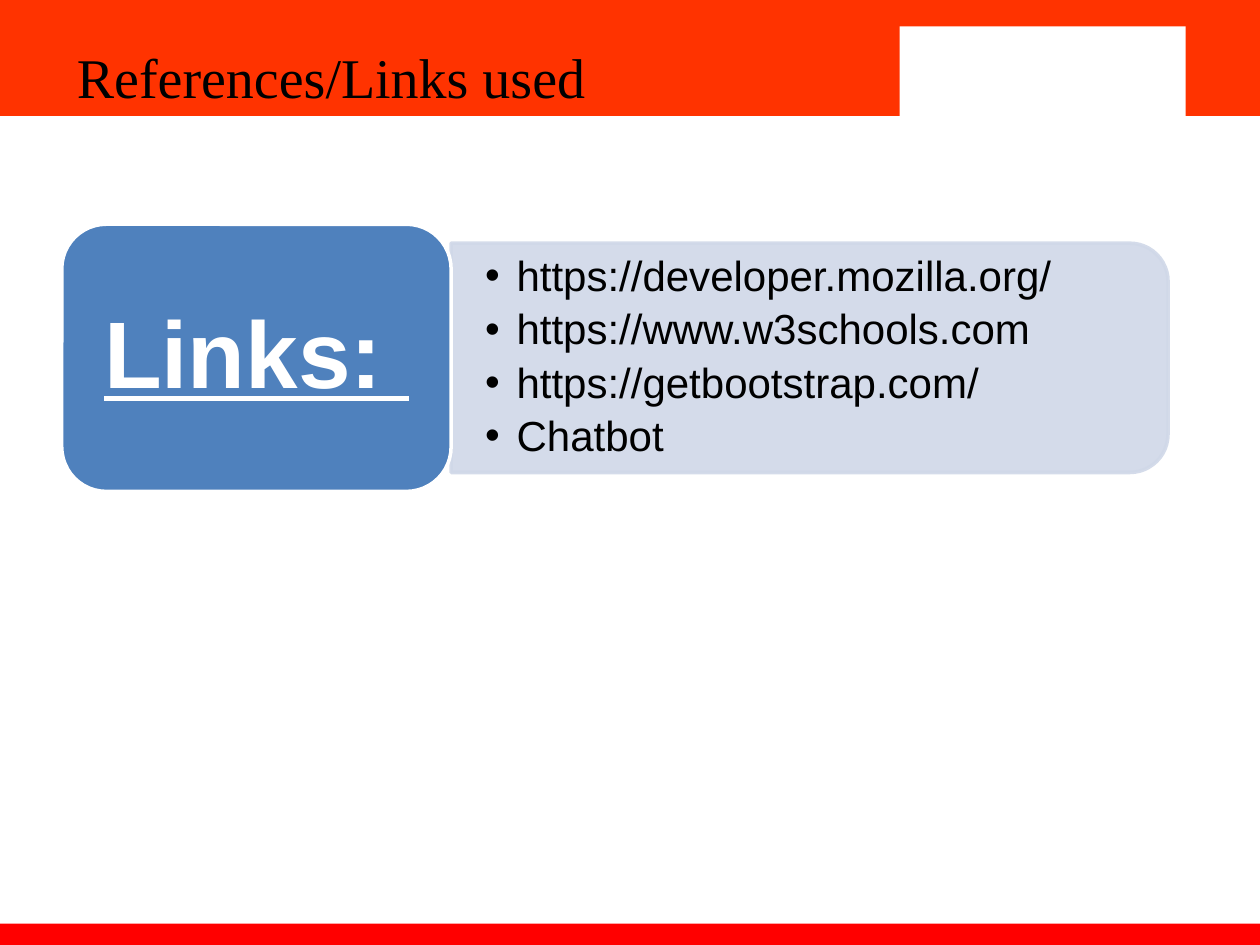
"""Build the references slide: a titled banner and a label beside a panel of links."""
from lxml import etree
from pptx import Presentation, util as u
from pptx.dml.color import RGBColor
from pptx.enum import shapes, text
from pptx.oxml.ns import qn

TITLE = "References/Links used"
LABEL = "Links: "
LINKS = [
    "https://developer.mozilla.org/",
    "https://www.w3schools.com",
    "https://getbootstrap.com/",
    "Chatbot",
]

ORANGE = RGBColor(0xFF, 0x33, 0x00)
RED = RGBColor(0xFF, 0x00, 0x00)
WHITE = RGBColor(0xFF, 0xFF, 0xFF)
BLACK = RGBColor(0x00, 0x00, 0x00)
BLUE = RGBColor(0x4F, 0x81, 0xBD)
PALE = RGBColor(0xD0, 0xD8, 0xE8)

WIDTH, HEIGHT = 10, 7.5
BANNER = 0.92
FOOTER_TOP = 7.33
LEFT, LABEL_WIDTH, LABEL_HEIGHT = 0.49, 3.09, 2.12
PANEL_WIDTH, PANEL_HEIGHT = 5.69, 1.82
MIDDLE = 2.84
PANEL_LEFT = LEFT + LABEL_WIDTH
BARS = [
    (0, 0, WIDTH, BANNER, ORANGE),
    (0, FOOTER_TOP, WIDTH, HEIGHT - FOOTER_TOP, RED),
    (7.14, 0.21, 2.27, 0.75, WHITE),
]


def add_block(page, kind, area, fill, line=None):
    block = page.shapes.add_shape(kind, *map(u.Inches, area))
    block.shadow.inherit = False
    block.fill.solid()
    block.fill.fore_color.rgb = fill
    if line is None:
        block.line.fill.background()
    else:
        block.line.color.rgb = line
        block.line.width = u.Pt(2)
    return block


def place(box, area, margins, anchor):
    box.left, box.top, box.width, box.height = map(u.Inches, area)
    frame = box.text_frame
    frame.word_wrap = True
    frame.auto_size = text.MSO_AUTO_SIZE.NONE
    frame.vertical_anchor = anchor
    side, edge = map(u.Inches, margins)
    frame.margin_left = frame.margin_right = side
    frame.margin_top = frame.margin_bottom = edge


def style(box, font, size, color, align, bold=False):
    for para in box.text_frame.paragraphs:
        para.alignment = align
        para.space_before = u.Pt(0)
        for span in para.runs:
            span.font.name = font
            span.font.size = u.Pt(size)
            span.font.color.rgb = color
            span.font.bold = span.font.underline = bold


def main():
    deck = Presentation()
    deck.slide_width, deck.slide_height = u.Inches(WIDTH), u.Inches(HEIGHT)
    page = deck.slides.add_slide(deck.slide_layouts[1])
    title, links = page.placeholders
    kinds = shapes.MSO_SHAPE

    for *area, color in BARS:
        add_block(page, kinds.RECTANGLE, area, color)
    page.shapes._spTree.append(title._element)

    center = PANEL_LEFT + PANEL_WIDTH / 2
    area = (center - PANEL_HEIGHT / 2, MIDDLE - PANEL_WIDTH / 2, PANEL_HEIGHT, PANEL_WIDTH)
    panel = add_block(page, kinds.ROUND_2_SAME_RECTANGLE, area, PALE, PALE)
    panel.rotation = 90
    for color in panel._element.spPr.iter(qn("a:srgbClr")):
        etree.SubElement(color, qn("a:alpha")).set("val", "90000")
    page.shapes._spTree.append(links._element)

    area = (LEFT, MIDDLE - LABEL_HEIGHT / 2, LABEL_WIDTH, LABEL_HEIGHT)
    label = add_block(page, kinds.ROUNDED_RECTANGLE, area, BLUE, WHITE)

    title.text_frame.text = TITLE
    place(title, (0.51, 0.29, 5.91, 0.64), (0.1, 0.05), text.MSO_ANCHOR.TOP)
    style(title, "Times New Roman", 32, BLACK, text.PP_ALIGN.LEFT)

    links.text_frame.text = "\n".join(LINKS)
    place(links, (PANEL_LEFT, MIDDLE - 0.82, 5.6, 1.64), (0.27, 0.14), text.MSO_ANCHOR.MIDDLE)
    style(links, "Arial", 24, BLACK, text.PP_ALIGN.LEFT)
    for para in links.text_frame.paragraphs:
        para.line_spacing = 0.9
        para.space_after = u.Pt(4.5)
        settings = para._p.get_or_add_pPr()
        settings.set("marL", str(u.Inches(0.25)))
        settings.set("indent", str(-u.Inches(0.25)))
        etree.SubElement(settings, qn("a:buChar")).set("char", "•")

    label.text_frame.text = LABEL
    place(label, area, (0.23, 0.11), text.MSO_ANCHOR.MIDDLE)
    style(label, "Arial", 54, WHITE, text.PP_ALIGN.CENTER, bold=True)
    label.text_frame.paragraphs[0].line_spacing = 0.9

    deck.save("out.pptx")


if __name__ == "__main__":
    main()
